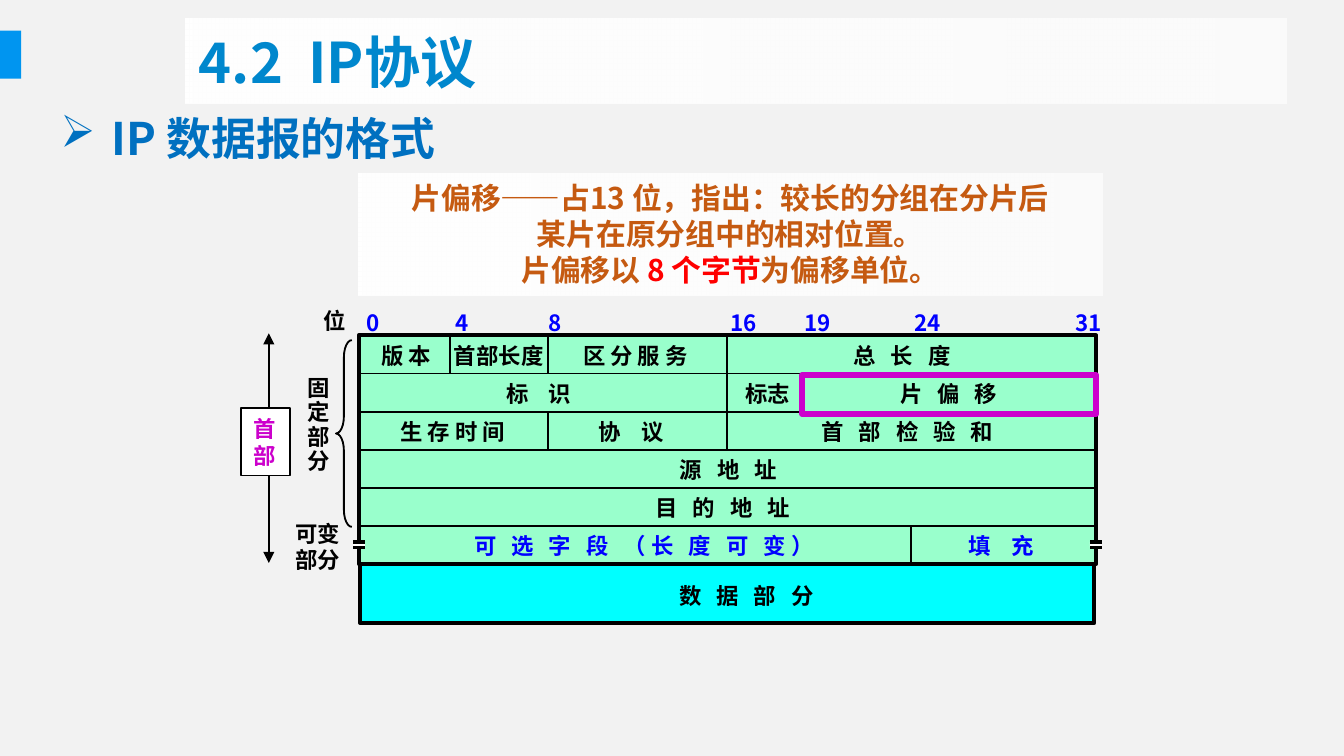
from typing import NamedTuple

from lxml import etree
from pptx import Presentation
from pptx.dml.color import RGBColor
from pptx.enum.shapes import MSO_CONNECTOR, MSO_SHAPE
from pptx.enum.text import MSO_ANCHOR, PP_ALIGN
from pptx.oxml.ns import qn
from pptx.util import Cm, Pt

RECT, BRACE = MSO_SHAPE.RECTANGLE, MSO_SHAPE.LEFT_BRACE
STRAIGHT = MSO_CONNECTOR.STRAIGHT
LEFT, CENTER = PP_ALIGN.LEFT, PP_ALIGN.CENTER
TOP, MIDDLE = MSO_ANCHOR.TOP, MSO_ANCHOR.MIDDLE
FONT = "Noto Sans CJK SC"

BLACK = RGBColor(0, 0, 0)
WHITE = RGBColor(0xFF, 0xFF, 0xFF)
BACKGROUND = RGBColor(0xF2, 0xF2, 0xF2)
ACCENT = RGBColor(0x00, 0x95, 0xF0)
TITLE_BLUE = RGBColor(0x00, 0x87, 0xCD)
HEADING_BLUE = RGBColor(0x00, 0x70, 0xC0)
BLUE = RGBColor(0, 0, 0xFF)
MINT = RGBColor(0x99, 0xFF, 0xCC)
CYAN = RGBColor(0, 0xFF, 0xFF)
PURPLE = RGBColor(0xCC, 0, 0xCC)
BROWN = RGBColor(0xC5, 0x5A, 0x11)
RED = RGBColor(0xFF, 0, 0)

# Diagram geometry, in centimetres
GRID_LEFT, GRID_RIGHT = 6.78, 20.72
ROW_TOP, ROW_HEIGHT, ROWS = 6.34, 0.72, 6
LABEL_HEIGHT = 0.76
# Extra letter spacing in points
WIDE, WIDER = 2.7, 4.05


class Box(NamedTuple):
    x: float
    y: float
    w: float
    h: float


class Run(NamedTuple):
    text: str
    color: RGBColor
    spacing: float = 0


class Field(NamedTuple):
    row: int
    x: float
    w: float
    text: str
    spacing: float = 0
    color: RGBColor = BLACK


class Divider(NamedTuple):
    x: float
    first_row: int
    last_row: int


class BitMark(NamedTuple):
    x: float
    text: str


FIELDS = [
    Field(0, 6.96, 1.5, "版 本"),
    Field(0, 8.33, 2.21, "首部长度"),
    Field(0, 10.77, 2.62, "区 分 服 务"),
    Field(0, 15.88, 2.57, "总 长 度", WIDE),
    Field(1, 9.32, 1.88, "标 识", WIDER),
    Field(1, 13.84, 1.37, "标志"),
    Field(1, 16.76, 2.57, "片 偏 移", WIDE),
    Field(2, 7.32, 2.62, "生 存 时 间"),
    Field(2, 11.07, 1.88, "协 议", WIDER),
    Field(2, 15.27, 4.19, "首 部 检 验 和", WIDE),
    Field(3, 12.6, 2.57, "源 地 址", WIDE),
    Field(4, 12.14, 3.38, "目 的 地 址", WIDE),
    Field(5, 8.71, 7.37, "可 选 字 段 （长 度 可 变）", WIDE, BLUE),
    Field(5, 18.06, 1.88, "填 充", WIDER, BLUE),
]
DIVIDERS = [
    Divider(8.51, 0, 0), Divider(10.36, 0, 0), Divider(10.36, 2, 2),
    Divider(13.74, 0, 2), Divider(15.14, 1, 1), Divider(17.22, 5, 5),
]
BIT_MARKS = [
    BitMark(6.68, "0"), BitMark(8.36, "4"), BitMark(10.11, "8"), BitMark(13.56, "16"),
    BitMark(14.96, "19"), BitMark(17.04, "24"), BitMark(20.07, "31"),
]


def row_y(row: int) -> float:
    return ROW_TOP + row * ROW_HEIGHT


def add_shape(s, box: Box, fill=None, line=None, width: float = 1, kind=RECT):
    sp = s.shapes.add_shape(kind, *map(Cm, box))
    sp.shadow.inherit = False
    if fill is None:
        sp.fill.background()
    else:
        sp.fill.solid()
        sp.fill.fore_color.rgb = fill
    if line is None:
        sp.line.fill.background()
    else:
        sp.line.color.rgb = line
        sp.line.width = Pt(width)
    return sp


def fade_white(sp) -> None:
    """Fill with white that turns partly transparent to the right."""
    sp.fill.gradient()
    sp.fill.gradient_angle = 0
    for stop, position in zip(sp.fill.gradient_stops, (0, 1)):
        stop.color.rgb = WHITE
        stop.position = position
    color = sp.fill._fill._gradFill.findall(".//" + qn("a:srgbClr"))[-1]
    etree.SubElement(color, qn("a:alpha"), val="67000")


def add_line(s, x1: float, y1: float, x2: float, y2: float, width: float = 1):
    ln = s.shapes.add_connector(STRAIGHT, Cm(x1), Cm(y1), Cm(x2), Cm(y2))
    ln.line.color.rgb = BLACK
    ln.line.width = Pt(width)
    etree.SubElement(ln._element.spPr, qn("a:effectLst"))
    return ln


def write(sp, lines: list[list[Run]], size: float = 12, align=LEFT, wrap: bool = False,
          anchor=TOP, line_spacing: float = 1.0) -> None:
    tf = sp.text_frame
    tf.word_wrap = wrap
    tf.vertical_anchor = anchor
    for i, runs in enumerate(lines):
        p = tf.add_paragraph() if i else tf.paragraphs[0]
        p.alignment = align
        p.line_spacing = line_spacing
        for run in runs:
            r = p.add_run()
            r.text = run.text
            r.font.name = FONT
            r.font.size = Pt(size)
            r.font.bold = True
            r.font.color.rgb = run.color
            rPr = r.font._element
            etree.SubElement(rPr, qn("a:ea"), typeface=FONT)
            if run.spacing:
                rPr.set("spc", str(round(run.spacing * 100)))


def add_label(s, box: Box, *lines: Run, **style):
    sp = s.shapes.add_textbox(*map(Cm, box))
    write(sp, [[line] for line in lines], **style)
    return sp


def draw_header_grid(s) -> None:
    add_shape(s, Box(GRID_LEFT, ROW_TOP, GRID_RIGHT - GRID_LEFT, ROWS * ROW_HEIGHT), MINT, BLACK, 2)
    add_shape(s, Box(6.81, row_y(ROWS), 13.87, 1.12), CYAN, BLACK, 2.25)
    for row in range(1, ROWS):
        add_line(s, GRID_LEFT, row_y(row), GRID_RIGHT, row_y(row))
    for d in DIVIDERS:
        add_line(s, d.x, row_y(d.first_row), d.x, row_y(d.last_row + 1))
    for f in FIELDS:
        add_label(s, Box(f.x, row_y(f.row), f.w, LABEL_HEIGHT), Run(f.text, f.color, f.spacing))
    for m in BIT_MARKS:
        width = 0.76 if len(m.text) == 1 else 1.04
        add_label(s, Box(m.x, 5.71, width, LABEL_HEIGHT), Run(m.text, BLUE))
    for x in (6.68, 20.6):
        add_shape(s, Box(x, 10.25, 0.22, 0.1), WHITE)
        for y in (10.25, 10.35):
            add_line(s, x, y, x + 0.22, y, 2)
    add_label(s, Box(11.53, 10.87, 5.16, LABEL_HEIGHT), Run("数 据 部 分", BLACK, WIDE),
              align=CENTER, wrap=True)


def draw_side_labels(s) -> None:
    add_label(s, Box(5.87, 5.69, 0.94, LABEL_HEIGHT), Run("位", BLACK))
    add_label(s, Box(5.56, 7.01, 0.94, 2.11), *(Run(c, BLACK) for c in "固定部分"), line_spacing=0.9)
    add_label(s, Box(5.33, 9.7, 1.37, 1.27), Run("可变", BLACK), Run("部分", BLACK))
    brace = add_shape(s, Box(6.35, 6.43, 0.3, 3.53), None, BLACK, kind=BRACE)
    brace.adjustments[0], brace.adjustments[1] = 1.08, 0.5
    arrow = add_line(s, 5.08, 6.3, 5.08, 10.64)
    for end in ("a:headEnd", "a:tailEnd"):
        etree.SubElement(arrow.line._get_or_add_ln(), qn(end), type="triangle")
    header = add_shape(s, Box(4.55, 7.72, 0.94, 1.27), WHITE, BLACK)
    write(header, [[Run(c, PURPLE)] for c in "首部"])


def draw_title_and_heading(s) -> None:
    title = add_shape(s, Box(3.51, 0.36, 20.8, 1.6))
    fade_white(title)
    write(title, [[Run("4.2", TITLE_BLUE), Run(" ", TITLE_BLUE, 6.7), Run("IP协议", TITLE_BLUE)]],
          size=30, wrap=True, anchor=MIDDLE)
    heading = add_label(s, Box(0.89, 1.96, 23.39, 1.27), Run("IP 数据报的格式", HEADING_BLUE),
                        size=24, wrap=True)
    pPr = heading.text_frame.paragraphs[0]._p.get_or_add_pPr()
    pPr.set("marL", str(Cm(0.97)))
    pPr.set("indent", str(-Cm(0.97)))
    etree.SubElement(pPr, qn("a:buChar"), char="➢")


def draw_note(s) -> None:
    note = add_shape(s, Box(6.78, 3.28, 14.05, 2.31))
    fade_white(note)
    write(note, [
        [Run("片偏移——占13 位，指出：较长的分组在分片后", BROWN)],
        [Run("某片在原分组中的相对位置。", BROWN)],
        [Run("片偏移以 ", BROWN), Run("8 个字节", RED), Run("为偏移单位。", BROWN)],
    ], size=16, align=CENTER, wrap=True)


def main() -> None:
    prs = Presentation()
    prs.slide_width, prs.slide_height = Cm(25.4), Cm(14.29)
    s = prs.slides.add_slide(prs.slide_layouts[6])
    s.background.fill.solid()
    s.background.fill.fore_color.rgb = BACKGROUND
    add_shape(s, Box(0, 0.58, 0.4, 0.91), ACCENT)
    draw_header_grid(s)
    draw_side_labels(s)
    draw_note(s)
    add_shape(s, Box(15.16, 7.09, 5.56, 0.74), None, PURPLE, 3)
    draw_title_and_heading(s)
    prs.save("out.pptx")


if __name__ == "__main__":
    main()
